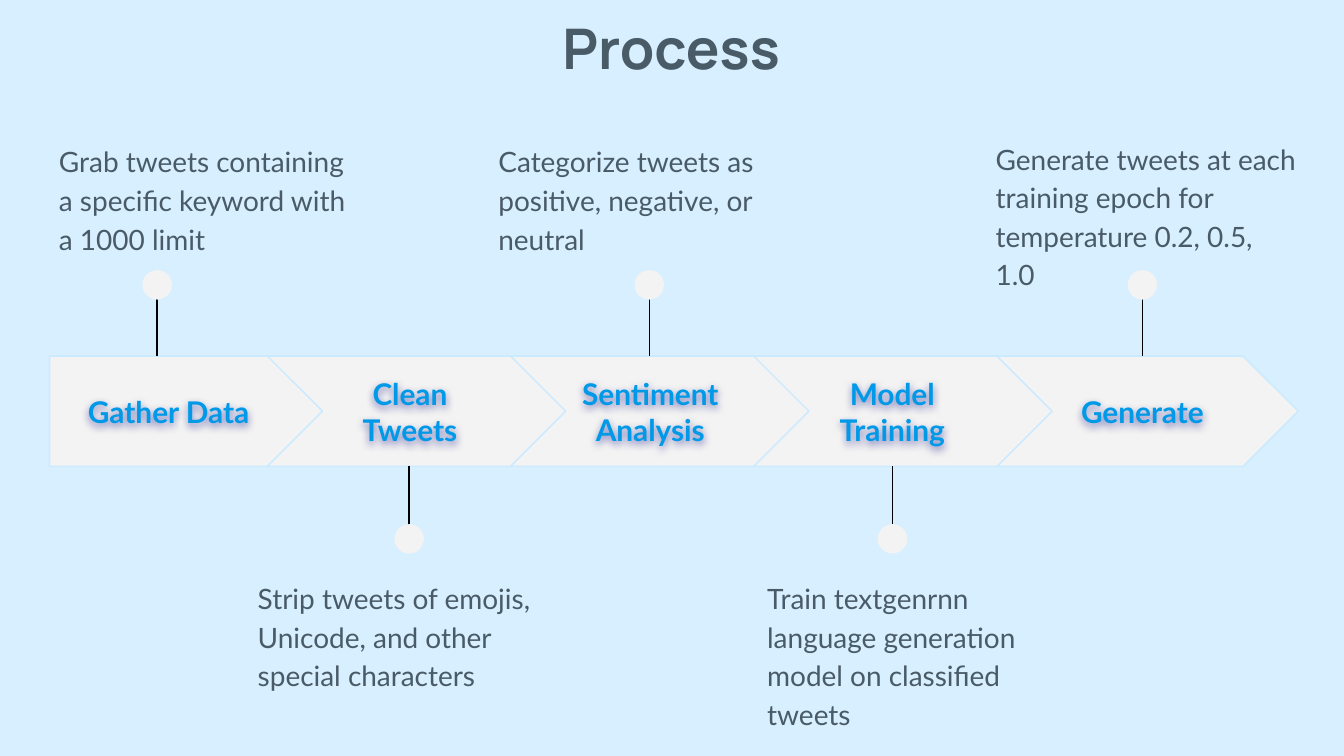
from lxml import etree
from pptx import Presentation
from pptx import util as u
from pptx.dml.color import RGBColor
from pptx.enum import shapes, text
from pptx.oxml.ns import qn

COLOURS = {"background": "D7EFFF", "band": "F3F3F3", "edge": "C9EAFF",
           "label": "0099E8", "body": "4A5B68", "pin": "000000", "shade": "000080"}

# Step name, label left and width, pin centre, note left and top, note
STEPS = [
    ("Gather Data", 33.1, 114.5, 84.2, 24.5, 67.7,
     "Grab tweets containing a specific keyword with a 1000 limit"),
    ("Clean Tweets", 167.8, 103.7, 219.2, 131, 301.7,
     "Strip tweets of emojis, Unicode, and other special characters"),
    ("Sentiment Analysis", 296.6, 103.7, 347.8, 259.9, 67.7,
     "Categorize tweets as positive, negative, or neutral"),
    ("Model Training", 426.2, 103.7, 478.1, 403.9, 301.7,
     "Train textgenrnn language generation model on classified tweets"),
    ("Generate", 560.2, 103.7, 612, 526.3, 66.2,
     "Generate tweets at each training epoch for temperature 0.2, 0.5, 1.0"),
]
BAND_TOP, BAND_HEIGHT = 190.8, 59
ARROW_LEFT, ARROW_STEP = 143.3, 130.3
DOT = 15.8


def colour(name):
    return RGBColor.from_string(COLOURS[name])


class ProcessSlide:
    def __init__(self, deck):
        self.page = deck.slides.add_slide(deck.slide_layouts[5])
        fill = self.page.background.fill
        fill.solid()
        fill.fore_color.rgb = colour("background")

    def set_words(self, box, words, size, font, ink, bold=False, align=None, anchor=None):
        frame = box.text_frame
        frame.word_wrap = True
        frame.auto_size = text.MSO_AUTO_SIZE.NONE
        frame.vertical_anchor = anchor or text.MSO_ANCHOR.TOP
        frame.margin_left = frame.margin_right = u.Pt(7.2)
        frame.margin_top = frame.margin_bottom = u.Pt(7.2)
        para = frame.paragraphs[0]
        para.alignment = align or text.PP_ALIGN.LEFT
        span = para.add_run()
        span.text = words
        span.font.size = u.Pt(size)
        span.font.name = font
        span.font.bold = bold
        span.font.color.rgb = colour(ink)
        return para

    def textbox(self, left, top, width, height):
        return self.page.shapes.add_textbox(u.Pt(left), u.Pt(top), u.Pt(width), u.Pt(height))

    def title(self, words):
        box = self.page.shapes.title
        box.left, box.top, box.width, box.height = map(u.Pt, (33.1, 0, 653, 51.1))
        self.set_words(box, words, 30, "Manrope", "body", True, text.PP_ALIGN.CENTER)

    def shape(self, kind, left, top, width, height):
        shape = self.page.shapes.add_shape(kind, *map(u.Pt, (left, top, width, height)))
        shape.shadow.inherit = False
        shape.fill.solid()
        shape.fill.fore_color.rgb = colour("band")
        return shape

    def arrow(self, kind, left, width):
        shape = self.shape(kind, left, BAND_TOP, width, BAND_HEIGHT)
        shape.adjustments[0] = 0.5
        shape.line.color.rgb = colour("edge")
        shape.line.width = u.Pt(0.75)

    def label(self, words, left, width):
        box = self.textbox(left, 202.3, width, 36.7)
        self.set_words(box, words, 16, "Lato", "label", True,
                       text.PP_ALIGN.CENTER, text.MSO_ANCHOR.MIDDLE)
        # Soft shadow under the letters
        effects = etree.SubElement(box._element.spPr, qn("a:effectLst"))
        shadow = etree.SubElement(effects, qn("a:outerShdw"), blurRad=str(u.Pt(4.5)),
                                  dist=str(u.Pt(1.5)), dir="5400000", algn="bl",
                                  rotWithShape="0")
        shade = etree.SubElement(shadow, qn("a:srgbClr"), val=COLOURS["shade"])
        etree.SubElement(shade, qn("a:alpha"), val="50000")

    def pin(self, centre, above):
        dot_top = 144.7 if above else 280.8
        band_edge = BAND_TOP if above else BAND_TOP + BAND_HEIGHT
        line = self.page.shapes.add_connector(
            shapes.MSO_CONNECTOR.STRAIGHT, u.Pt(centre), u.Pt(dot_top + DOT / 2),
            u.Pt(centre), u.Pt(band_edge))
        line.line.color.rgb = colour("pin")
        line.line.width = u.Pt(0.75)
        etree.SubElement(line._element.spPr, qn("a:effectLst"))
        dot = self.shape(shapes.MSO_SHAPE.OVAL, centre - DOT / 2, dot_top, DOT, DOT)
        dot.line.fill.background()

    def note(self, words, left, top):
        box = self.textbox(left, top, 176.4, 71.3)
        para = self.set_words(box, words, 15, "Lato", "body")
        para.line_spacing = 1.15
        para.space_after = u.Pt(16)


def main():
    deck = Presentation()
    deck.slide_width, deck.slide_height = u.Pt(720), u.Pt(405)
    slide = ProcessSlide(deck)
    slide.title("Process")

    # Arrow band: a flat-backed start, then evenly spaced chevrons
    slide.arrow(shapes.MSO_SHAPE.PENTAGON, 26.6, 147.6)
    for index in range(len(STEPS) - 1):
        slide.arrow(shapes.MSO_SHAPE.CHEVRON, ARROW_LEFT + index * ARROW_STEP, 161.3)

    # Labels, pins and notes, alternating above and below the band
    for index, (name, left, width, centre, note_left, note_top, note) in enumerate(STEPS):
        slide.label(name, left, width)
        slide.pin(centre, above=index % 2 == 0)
        slide.note(note, note_left, note_top)

    deck.save("out.pptx")


if __name__ == "__main__":
    main()
